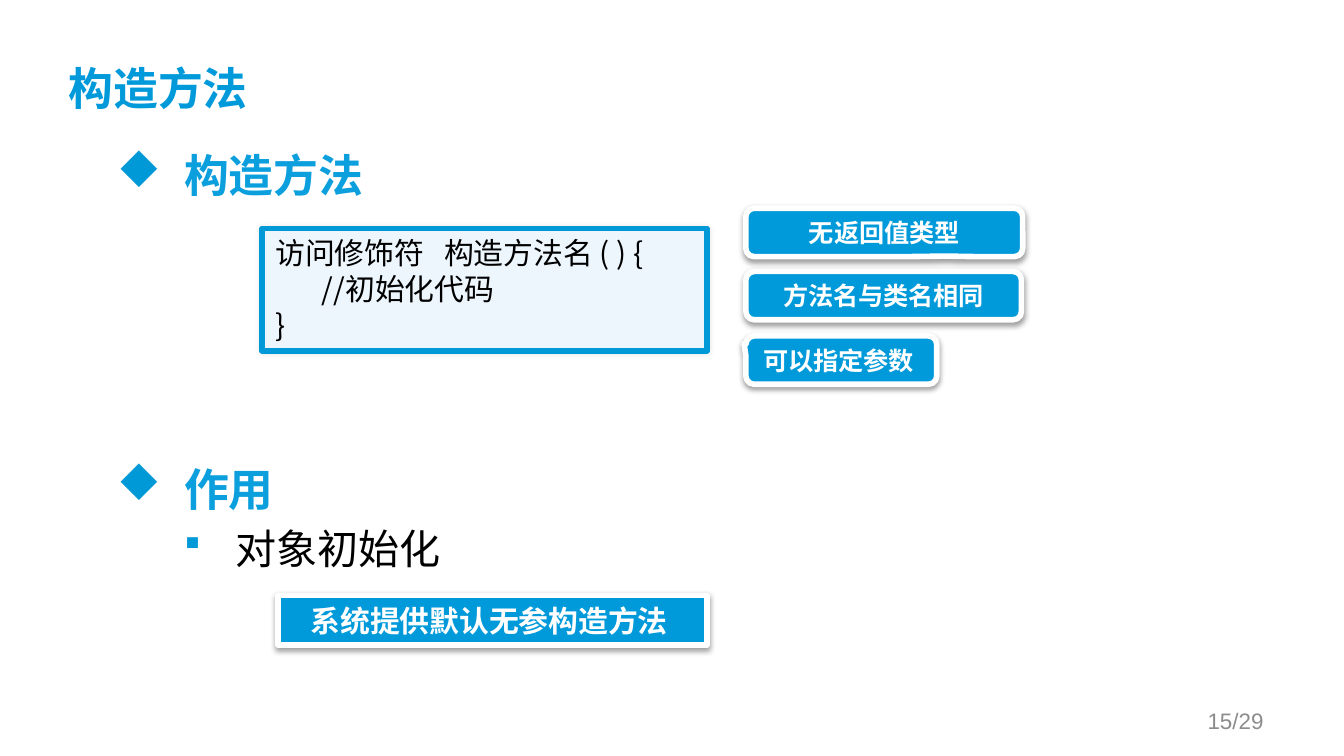
from lxml import etree
from pptx import Presentation, util as u
from pptx.dml.color import RGBColor
from pptx.enum import shapes, text
from pptx.oxml import ns

HEX = {"blue": "009ADA", "edge": "0099D8", "head": "0B9FDD", "pale": "EDF5FD",
       "white": "FFFFFF", "black": "000000", "gray": "8C8C8C"}
CJK = "Noto Sans CJK SC"
KIND = shapes.MSO_SHAPE


def style(par, size, color, bold=False, face=CJK):
    for run in par.runs:
        font = run.font
        font.name, font.size, font.bold = face, u.Pt(size), bold
        font.color.rgb = RGBColor.from_string(HEX[color])
        east = etree.SubElement(run._r.rPr, ns.qn("a:ea"))
        east.set("typeface", CJK)


def panel(kind, box, fill, line, glow):
    item = slide.shapes.add_shape(kind, *map(u.Inches, box))
    item.fill.solid()
    item.fill.fore_color.rgb = RGBColor.from_string(HEX[fill])
    item.line.color.rgb = RGBColor.from_string(HEX[line])
    item.line.width = u.Pt(3)
    # Soft shadow: blur, distance and opacity
    blur, dist, alpha = glow
    item.shadow.inherit = False
    effects = item._element.spPr.find(ns.qn("a:effectLst"))
    outer = etree.SubElement(effects, ns.qn("a:outerShdw"), blurRad=str(u.Pt(blur)),
                             dist=str(u.Pt(dist)), dir="5400000", rotWithShape="0")
    shade = etree.SubElement(outer, ns.qn("a:srgbClr"), val=HEX["black"])
    etree.SubElement(shade, ns.qn("a:alpha"), val=str(alpha * 1000))
    frame = item.text_frame
    frame.word_wrap = True
    frame.margin_top = frame.margin_bottom = u.Inches(0.05)
    frame.vertical_anchor = text.MSO_ANCHOR.MIDDLE
    return item


# Widescreen slide, 16 to 9
deck = Presentation()
deck.slide_width = u.Inches(10)
deck.slide_height = u.Inches(10 * 9 / 16)
slide = deck.slides.add_slide(deck.slide_layouts[1])

# Title
title = slide.shapes.title
title.left, title.top, title.width, title.height = map(u.Inches, (0.51, 0.21, 9, 0.94))
frame = title.text_frame
frame.text = "构造方法"
frame.margin_left = frame.margin_top = 0
frame.vertical_anchor = text.MSO_ANCHOR.MIDDLE
frame.paragraphs[0].alignment = text.PP_ALIGN.LEFT
style(frame.paragraphs[0], 24, "blue", True)

# Bullet list: words, level, size, line height, space before
body = slide.placeholders[1]
body.left, body.top, body.width, body.height = map(u.Inches, (0.77, 1.05, 8.49, 3.71))
frame = body.text_frame
frame.auto_size = text.MSO_AUTO_SIZE.NONE
rows = [("构造方法", 0, 24, 28.8, 0), ("作用", 0, 24, 28.8, 139.2),
        ("对象初始化", 1, 22, 26.4, 4.4)]
# Wingdings diamond and square: sign, left, hang, scale
marks = [("u", 0.5, 0.5, 100), ("§", 0.88, 0.38, 90)]
frame.text = "\n".join(row[0] for row in rows)
for par, (words, level, size, high, gap) in zip(frame.paragraphs, rows):
    sign, left, hang, scale = marks[level]
    par.level = level
    par.line_spacing, par.space_before = u.Pt(high), u.Pt(gap)
    props = par._p.get_or_add_pPr()
    props.set("marL", str(u.Inches(left)))
    props.set("indent", str(-u.Inches(hang)))
    tint = etree.SubElement(props, ns.qn("a:buClr"))
    etree.SubElement(tint, ns.qn("a:srgbClr"), val=HEX["edge"])
    etree.SubElement(props, ns.qn("a:buSzPct"), val=str(scale * 1000))
    etree.SubElement(props, ns.qn("a:buFont"), typeface="Wingdings", charset="2")
    etree.SubElement(props, ns.qn("a:buChar"), char=sign)
    style(par, size, "black" if level else "head", not level)

# Code box
code = panel(KIND.ROUNDED_RECTANGLE, (1.95, 1.7, 3.31, 0.91), "pale", "edge", (3, 0, 10))
code.adjustments[0] = 0
code.text_frame.vertical_anchor = text.MSO_ANCHOR.TOP
code.text_frame.text = "访问修饰符   构造方法名 ( ) {\n       //初始化代码\n}"
for par in code.text_frame.paragraphs:
    par.alignment = text.PP_ALIGN.LEFT
    par.line_spacing = u.Pt(19.2)
    style(par, 16, "black")

# Callouts down the right, then the note at the bottom
call, rect = KIND.ROUNDED_RECTANGULAR_CALLOUT, KIND.ROUNDED_RECTANGLE
labels = [("方法名与类名相同", call, (5.55, 2.02, 2.05, 0.36), (-0.19, 0.5, 0.17), 13.5),
          ("无返回值类型", call, (5.55, 1.55, 2.06, 0.36), (0.22, 0.49, 0.17), 13.5),
          ("可以指定参数 ", call, (5.55, 2.5, 1.42, 0.36), (-0.51, -0.34, 0.17), 13.5),
          ("系统提供默认无参构造方法 ", rect, (2.07, 4.43, 3.19, 0.37), (0,), 16)]
for words, kind, box, bends, size in labels:
    label = panel(kind, box, "blue", "white", (3.1, 1.6, 38))
    for spot, bend in enumerate(bends):
        label.adjustments[spot] = bend
    label.text_frame.text = words
    par = label.text_frame.paragraphs[0]
    par.alignment = text.PP_ALIGN.CENTER
    style(par, size, "white", True, "Calibri")

# Page number
page = slide.shapes.add_textbox(*map(u.Inches, (7.17, 5.21, 2.33, 0.3)))
frame = page.text_frame
frame.word_wrap = True
frame.vertical_anchor = text.MSO_ANCHOR.MIDDLE
frame.text = "15/29"
frame.paragraphs[0].alignment = text.PP_ALIGN.RIGHT
style(frame.paragraphs[0], 12, "gray", face="Arial")

deck.save("out.pptx")
